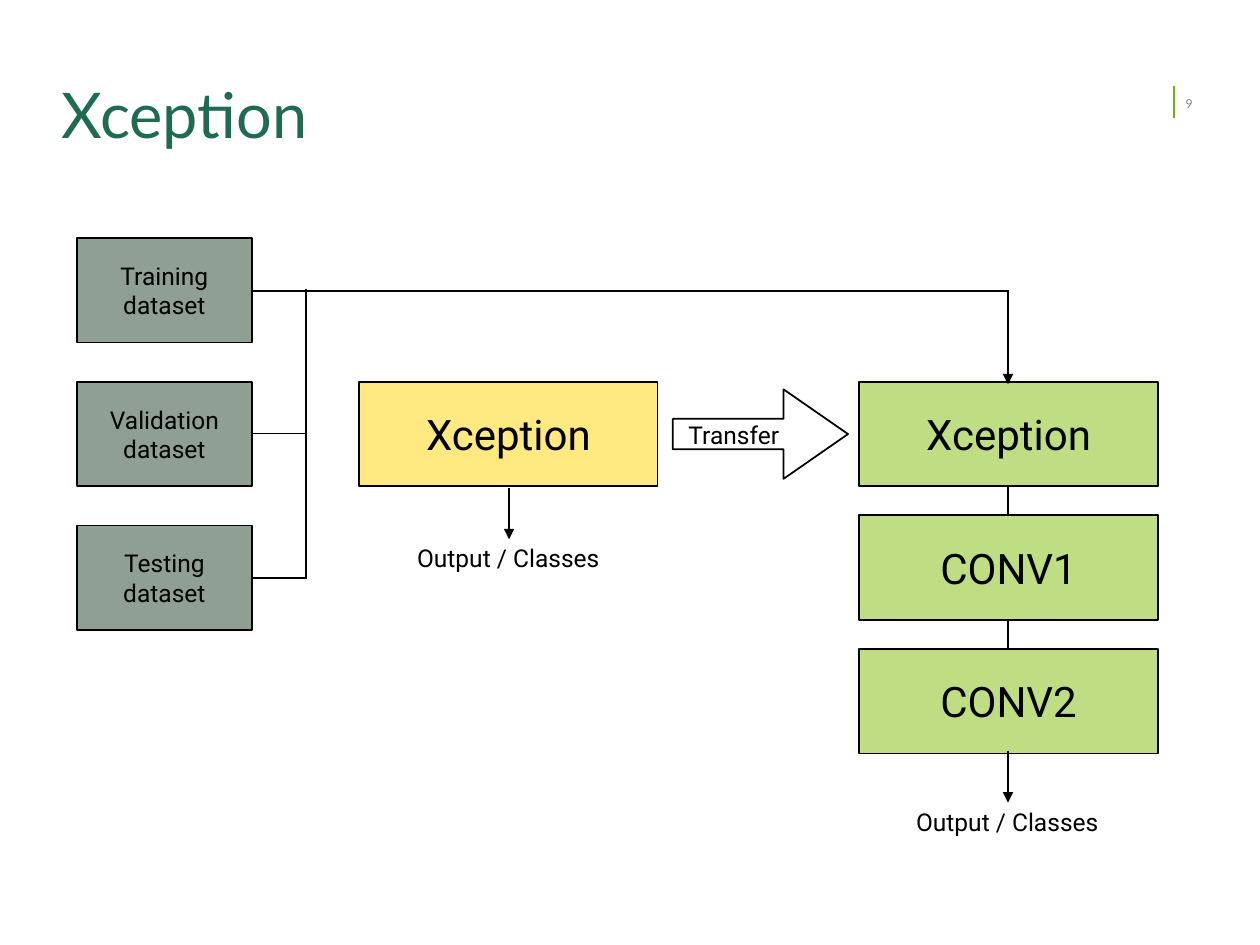
from lxml import etree
from pptx import Presentation
from pptx.dml.color import RGBColor
from pptx.enum.shapes import MSO_CONNECTOR, MSO_SHAPE
from pptx.enum.text import MSO_ANCHOR, PP_ALIGN
from pptx.oxml.ns import qn
from pptx.util import Inches, Pt

BLACK = RGBColor(0x00, 0x00, 0x00)
WHITE = RGBColor(0xFF, 0xFF, 0xFF)
GRAY = RGBColor(0x80, 0x80, 0x80)
TITLE_GREEN = RGBColor(0x1E, 0x6B, 0x51)
ACCENT_GREEN = RGBColor(0x70, 0xB2, 0x07)
SAGE = RGBColor(0x8F, 0x9F, 0x93)
YELLOW = RGBColor(0xFF, 0xE9, 0x80)
LIME = RGBColor(0xBF, 0xDE, 0x83)
RECT, RIGHT_ARROW = MSO_SHAPE.RECTANGLE, MSO_SHAPE.RIGHT_ARROW
STRAIGHT = MSO_CONNECTOR.STRAIGHT
LEFT, CENTER = PP_ALIGN.LEFT, PP_ALIGN.CENTER
MIDDLE = MSO_ANCHOR.MIDDLE


class Diagram:
    """Draws styled elements on one slide."""

    heading_font = "Lato"
    body_font = "Roboto"
    box_height = 0.83

    def __init__(self, slide):
        self.s = slide

    def set_text(self, sp, text, size, color=BLACK, font=body_font, align=CENTER, inset=0.05, wrap=True):
        tf = sp.text_frame
        tf.word_wrap = wrap
        tf.vertical_anchor = MIDDLE
        tf.margin_left = tf.margin_right = Inches(inset)
        tf.margin_top = tf.margin_bottom = Inches(0.05)
        p = tf.paragraphs[0]
        p.text = text
        p.alignment = align
        p.font.size = Pt(size)
        p.font.name = font
        p.font.color.rgb = color
        return p

    def title(self, text, x, y, w, h):
        sp = self.s.shapes.title
        sp.left, sp.top, sp.width, sp.height = map(Inches, (x, y, w, h))
        p = self.set_text(sp, text, 36, TITLE_GREEN, self.heading_font, LEFT)
        p.line_spacing = 0.9

    def label(self, text, x, y, w, h, size=14, **style):
        sp = self.s.shapes.add_textbox(*map(Inches, (x, y, w, h)))
        self.set_text(sp, text, size, wrap=False, **style)

    def shape(self, kind, x, y, w, h, fill):
        sp = self.s.shapes.add_shape(kind, *map(Inches, (x, y, w, h)))
        sp.shadow.inherit = False
        sp.fill.solid()
        sp.fill.fore_color.rgb = fill
        sp.line.color.rgb = BLACK
        sp.line.width = Pt(1)
        return sp

    def box(self, text, x, y, w, fill, size, inset=0.05):
        sp = self.shape(RECT, x, y, w, self.box_height, fill)
        self.set_text(sp, text, size, inset=inset)

    def block_arrow(self, x, y, w, h, shaft, head):
        sp = self.shape(RIGHT_ARROW, x, y, w, h, WHITE)
        sp.adjustments[0], sp.adjustments[1] = shaft, head

    def line(self, x1, y1, x2, y2, color=BLACK, arrow=False):
        cxn = self.s.shapes.add_connector(STRAIGHT, *map(Inches, (x1, y1, x2, y2)))
        cxn.line.color.rgb = color
        cxn.line.width = Pt(1)
        props = cxn.element.spPr
        if arrow:
            etree.SubElement(props.find(qn("a:ln")), qn("a:tailEnd"), type="triangle")
        etree.SubElement(props, qn("a:effectLst"))


def main():
    prs = Presentation()
    prs.slide_width, prs.slide_height = Inches(10), Inches(7.5)
    d = Diagram(prs.slides.add_slide(prs.slide_layouts[5]))

    d.title("Xception", 0.44, 0.52, 8.72, 0.84)
    d.line(9.32, 0.68, 9.32, 0.94, ACCENT_GREEN)
    d.label("9", 9.41, 0.75, 0.14, 0.14, size=7, color=GRAY, font=d.heading_font, align=LEFT, inset=0)

    d.line(8, 3.81, 8, 5.2)
    for i, name in enumerate(("Xception", "CONV1", "CONV2")):
        d.box(name, 6.82, 3.03 + 1.06 * i, 2.37, LIME, 24)
    d.box("Xception", 2.85, 3.03, 2.37, YELLOW, 24)
    for i, name in enumerate(("Training", "Validation", "Testing")):
        d.box(f"{name} dataset", 0.61, 1.89 + 1.14 * i, 1.39, SAGE, 14, inset=0.2)

    d.block_arrow(5.34, 3.09, 1.39, 0.71, 0.34, 0.72)
    d.label("Transfer", 5.41, 3.28, 0.83, 0.34)

    for y, end in ((2.31, 8.01), (3.44, 2.44), (4.59, 2.44)):
        d.line(2.01, y, end, y)
    d.line(2.43, 2.29, 2.43, 4.59)
    d.line(8, 2.31, 8, 3.05, arrow=True)

    for x, y in ((4.04, 3.87), (8, 5.96)):
        d.line(x, y, x, y + 0.41, arrow=True)
        d.label("Output / Classes", x - 0.78, y + 0.39, 1.55, 0.34)

    prs.save("out.pptx")


if __name__ == "__main__":
    main()
